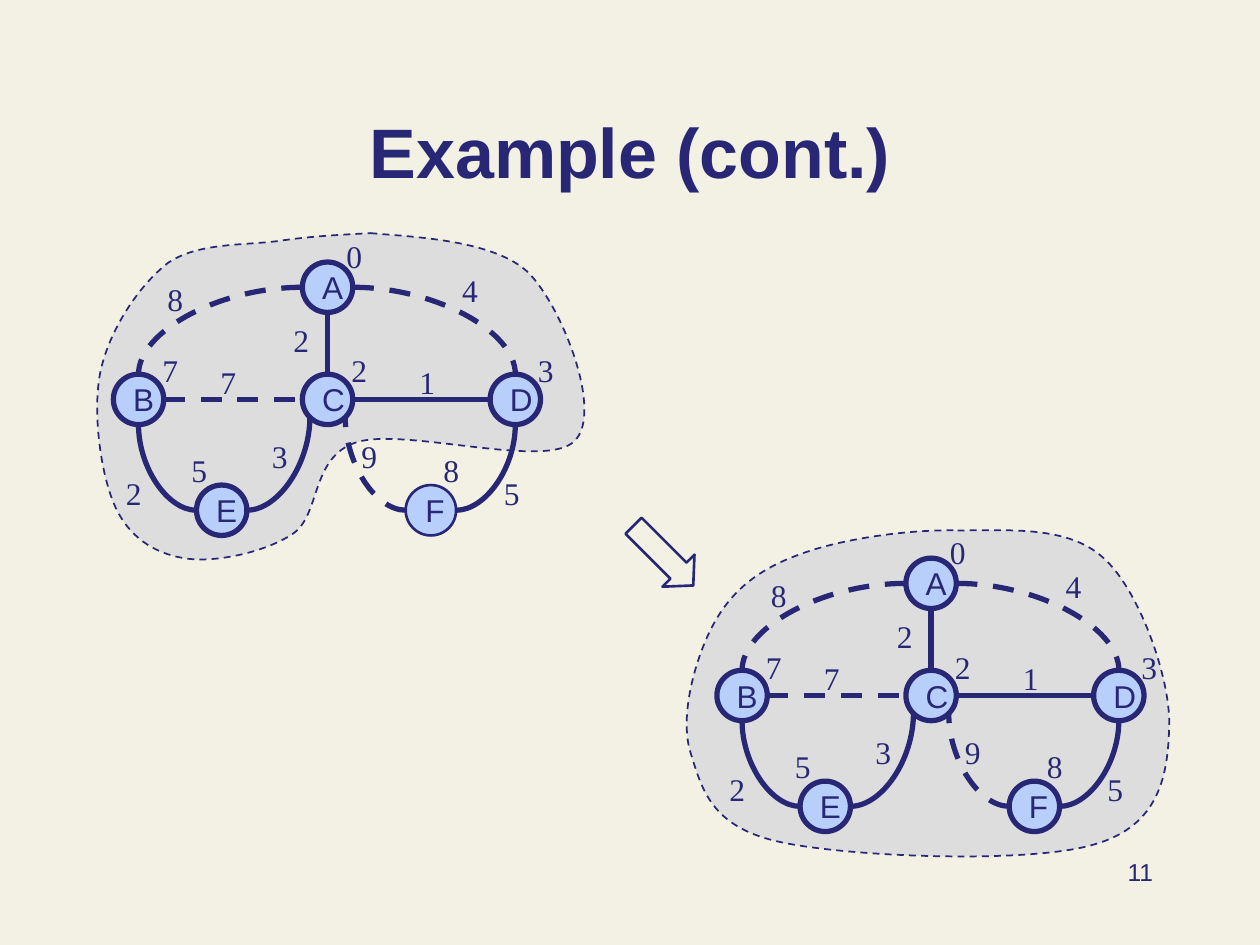
import pptx
import pptx.util
import pptx.dml.color
import pptx.enum.dml
import pptx.enum.shapes
import pptx.enum.text
import pptx.oxml.ns
import lxml.etree

Inches = pptx.util.Inches
Pt = pptx.util.Pt
RGBColor = pptx.dml.color.RGBColor
ALIGN = pptx.enum.text.PP_ALIGN
ANCHOR = pptx.enum.text.MSO_ANCHOR
SHAPE = pptx.enum.shapes.MSO_SHAPE
LINK = pptx.enum.shapes.MSO_CONNECTOR
DASH = pptx.enum.dml.MSO_LINE.DASH
qn = pptx.oxml.ns.qn

NAVY = RGBColor(0x27, 0x27, 0x76)
CREAM = RGBColor(0xF3, 0xF1, 0xE4)
GRAY = RGBColor(0xDD, 0xDD, 0xDD)
BLUE = RGBColor(0xB8, 0xCF, 0xFB)

SIZE = 0.4
NODES = {"C": (2.4, 2.97), "B": (0.9, 2.97), "A": (2.4, 2.08),
         "E": (1.56, 3.85), "D": (3.89, 2.97), "F": (3.22, 3.85)}
CURVES = [((2.4, 2.28), (1.1, 2.97), True), ((1.56, 4.05), (1.1, 3.37), False),
          ((1.96, 4.05), (2.46, 3.31), False), ((3.62, 4.05), (4.09, 3.37), False),
          ((2.8, 2.28), (4.09, 2.97), True), ((3.22, 4.05), (2.74, 3.31), True)]
LINES = [((2.6, 2.48), (2.6, 2.97), False), ((1.3, 3.17), (2.4, 3.17), True),
         ((2.8, 3.17), (3.89, 3.17), False)]
COSTS = [("0", 2.65, 1.83), ("3", 4.17, 2.74), ("2", 2.69, 2.74), ("7", 1.19, 2.74),
         ("5", 1.42, 3.53), ("8", 3.42, 3.53)]
WEIGHTS = [("4", 3.57, 2.1), ("8", 1.23, 2.17), ("7", 1.65, 2.83), ("1", 3.23, 2.83),
           ("2", 0.9, 3.71), ("5", 3.9, 3.71), ("2", 2.23, 2.5), ("3", 2.06, 3.42),
           ("9", 2.77, 3.42)]
CLOUD_ONE = [
    (2.94, 1.85), (3.26, 1.88), (3.93, 1.9), (4.2, 2.17), (4.47, 2.45), (4.79, 3.28),
    (4.56, 3.5), (4.34, 3.73), (3.21, 3.39), (2.83, 3.51), (2.46, 3.63), (2.55, 4.09),
    (2.32, 4.24), (2.09, 4.39), (1.69, 4.47), (1.46, 4.43), (1.22, 4.39), (1.02, 4.26),
    (0.91, 4.01), (0.8, 3.76), (0.73, 3.26), (0.8, 2.94), (0.87, 2.62), (1.1, 2.27),
    (1.33, 2.09), (1.57, 1.92), (1.96, 1.95), (2.23, 1.91), (2.5, 1.87), (2.79, 1.86),
    (2.94, 1.85)]
CLOUD_TWO = [
    (7.6, 4.21), (8.01, 4.21), (8.48, 4.17), (8.76, 4.43), (9.04, 4.68), (9.29, 5.38),
    (9.28, 5.76), (9.27, 6.14), (9.21, 6.55), (8.69, 6.7), (8.17, 6.86), (6.71, 6.8),
    (6.18, 6.68), (5.64, 6.56), (5.57, 6.26), (5.48, 5.97), (5.39, 5.68), (5.52, 5.22),
    (5.66, 4.96), (5.8, 4.7), (6, 4.53), (6.32, 4.41), (6.65, 4.28), (7.2, 4.2),
    (7.6, 4.21)]


def set_text(frame, text, face, size, align=ALIGN.LEFT):
    frame.word_wrap = True
    frame.text = text
    par = frame.paragraphs[0]
    par.alignment = align
    par.font.name = face
    par.font.size = Pt(size)
    par.font.color.rgb = NAVY
    return par


def set_line(line, width, dashed=False):
    line.color.rgb = NAVY
    line.width = Pt(width)
    if dashed:
        line.dash_style = DASH


def set_look(shape, fill, width, dashed=False):
    shape.shadow.inherit = False
    if fill is None:
        shape.fill.background()
    else:
        shape.fill.solid()
        shape.fill.fore_color.rgb = fill
    set_line(shape.line, width, dashed)


def add_title(slide, text):
    title = slide.shapes.title
    title.left, title.top = Inches(0.75), Inches(0.5)
    title.width, title.height = Inches(8.5), Inches(1.08)
    par = set_text(title.text_frame, text, "Arial", 40, ALIGN.CENTER)
    par.font.bold = True
    title.text_frame.vertical_anchor = ANCHOR.BOTTOM


def add_label(slide, text, x, y, w=0.33, h=0.4, face="Times New Roman", size=18,
              align=ALIGN.LEFT):
    box = slide.shapes.add_textbox(Inches(x), Inches(y), Inches(w), Inches(h))
    set_text(box.text_frame, text, face, size, align)


def bend_lines(shape):
    lines = list(shape._element.iter(qn("a:lnTo")))
    for i in range(0, len(lines), 3):
        curve = lxml.etree.Element(qn("a:cubicBezTo"))
        lines[i].addprevious(curve)
        for line in lines[i:i + 3]:
            curve.append(line[0])
            line.getparent().remove(line)


def add_cloud(slide, knots):
    points = [(Inches(x), Inches(y)) for x, y in knots]
    build = slide.shapes.build_freeform(*points[0])
    build.add_line_segments(points[1:], close=True)
    cloud = build.convert_to_shape()
    bend_lines(cloud)
    set_look(cloud, GRAY, 1, True)


def add_node(slide, name, x, y, width):
    node = slide.shapes.add_shape(SHAPE.OVAL, Inches(x), Inches(y),
                                  Inches(SIZE), Inches(SIZE))
    set_look(node, BLUE, width)
    set_text(node.text_frame, name, "Arial", 18)
    node.text_frame.vertical_anchor = ANCHOR.MIDDLE


def add_edge(slide, start, end, dashed, curved, dx, dy):
    kind = LINK.CURVE if curved else LINK.STRAIGHT
    edge = slide.shapes.add_connector(
        kind, Inches(start[0] + dx), Inches(start[1] + dy),
        Inches(end[0] + dx), Inches(end[1] + dy))
    set_line(edge.line, 3, dashed)
    props = edge._element.spPr
    if curved:
        props.find(qn("a:prstGeom")).set("prst", "curvedConnector2")
    lxml.etree.SubElement(props, qn("a:effectLst"))


def add_graph(slide, cloud, dx, dy, thin):
    add_cloud(slide, cloud)
    for name, (x, y) in NODES.items():
        add_node(slide, name, x + dx, y + dy, 1.5 if name in thin else 3)
    for edges, curved in ((CURVES, True), (LINES, False)):
        for start, end, dashed in edges:
            add_edge(slide, start, end, dashed, curved, dx, dy)
    for text, x, y in COSTS + WEIGHTS:
        add_label(slide, text, x + dx, y + dy)


def add_arrow(slide):
    arrow = slide.shapes.add_shape(SHAPE.RIGHT_ARROW, Inches(4.93), Inches(4.23),
                                   Inches(0.67), Inches(0.36))
    arrow.rotation = 45
    arrow.adjustments[1] = 0.46
    set_look(arrow, None, 1.5)


def main():
    deck = pptx.Presentation()
    deck.slide_width, deck.slide_height = Inches(10), Inches(7.5)
    slide = deck.slides.add_slide(deck.slide_layouts[5])
    slide.background.fill.solid()
    slide.background.fill.fore_color.rgb = CREAM
    add_title(slide, "Example (cont.)")
    add_graph(slide, CLOUD_ONE, 0, 0, "F")
    add_graph(slide, CLOUD_TWO, 4.79, 2.35, "")
    add_arrow(slide)
    add_label(slide, "11", 7.17, 6.75, 2.08, 0.5, "Arial", 14, ALIGN.RIGHT)
    deck.save("out.pptx")


if __name__ == "__main__":
    main()
